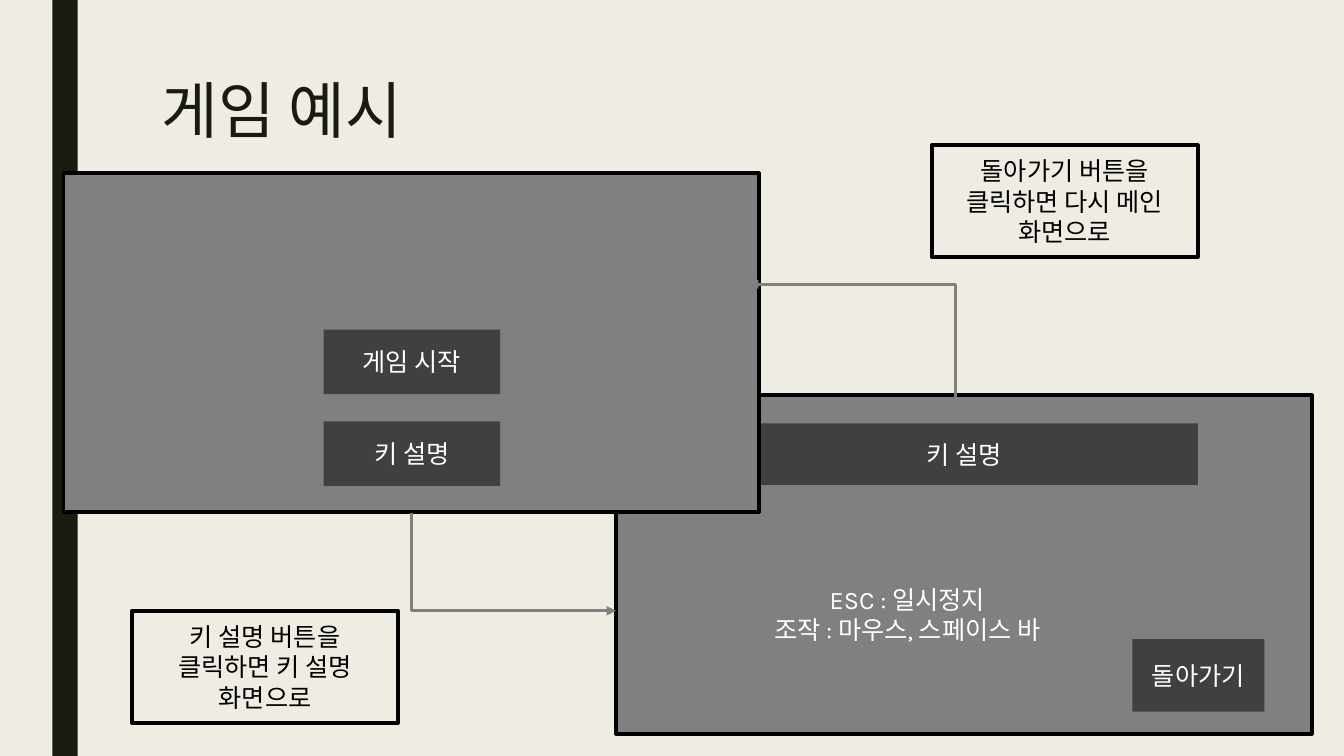
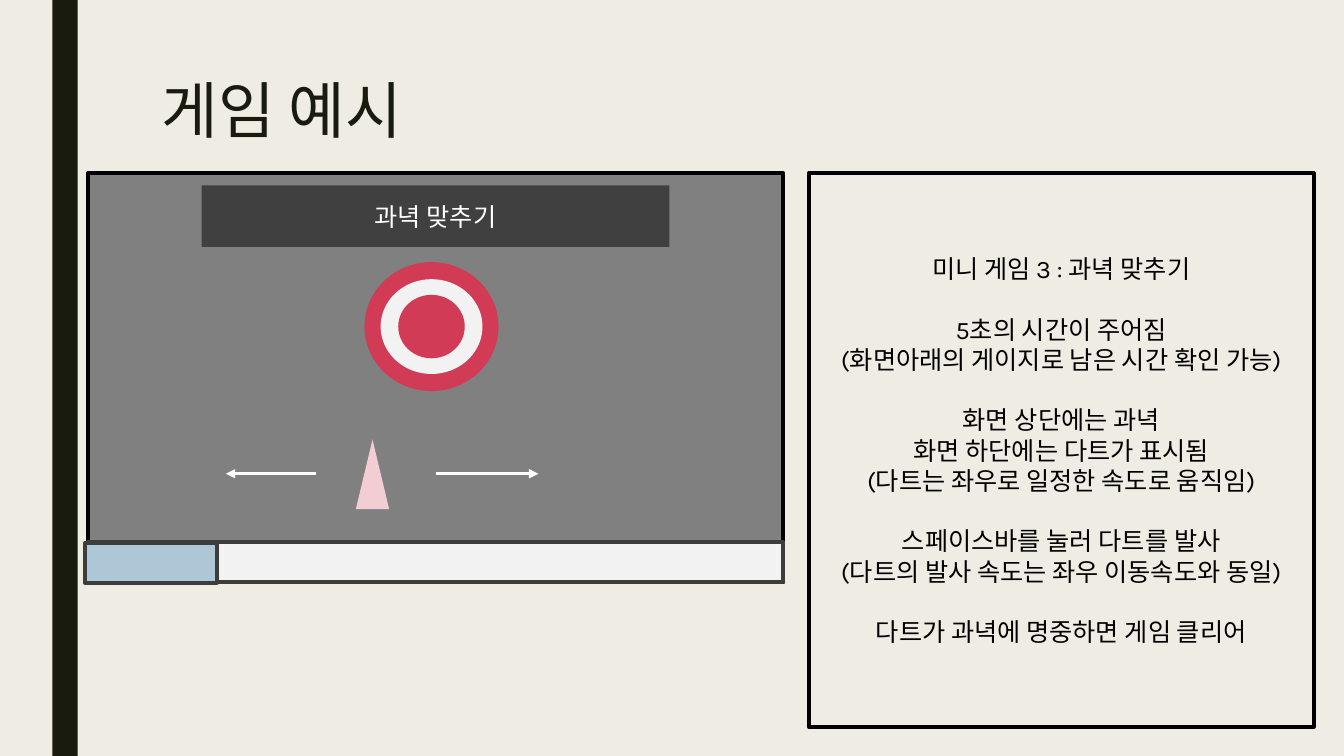
from dataclasses import dataclass
from itertools import product

from lxml import etree
from pptx import Presentation
from pptx.dml.color import RGBColor
from pptx.enum.shapes import MSO_CONNECTOR, MSO_SHAPE
from pptx.enum.text import MSO_ANCHOR, PP_ALIGN
from pptx.oxml.ns import qn
from pptx.util import Inches, Pt

RECT, RING, DART = MSO_SHAPE.RECTANGLE, MSO_SHAPE.FLOWCHART_CONNECTOR, MSO_SHAPE.ISOSCELES_TRIANGLE
STRAIGHT, ELBOW = MSO_CONNECTOR.STRAIGHT, MSO_CONNECTOR.ELBOW
TOP, MIDDLE = MSO_ANCHOR.TOP, MSO_ANCHOR.MIDDLE
LEFT, CENTER = PP_ALIGN.LEFT, PP_ALIGN.CENTER

CREAM, INK = "EFEDE3", "191B0E"
BLACK, WHITE, PALE = "000000", "FFFFFF", "F2F2F2"
GREY, DARK, GAUGE_EDGE = "808080", "404040", "3D3E3B"
RED, PINK, BLUE = "D13B56", "F3CDD4", "ADC7D6"
FONT = "Karla"
TITLE = "게임 예시"
BORDER, ARROW_WIDTH = 2.75, 2.25
GROUP_GAP = Pt(21.6)
TITLE_BOX = {"left": Inches(1.5), "top": Inches(0.75), "width": Inches(10.5), "height": Inches(1.62)}
TITLE_FRAME = {"vertical_anchor": TOP, "word_wrap": True}
TITLE_PARAGRAPH = {"alignment": LEFT, "line_spacing": 0.89}
BODY_FRAME = {"vertical_anchor": MIDDLE, "word_wrap": True}
RULES = """미니 게임 3 : 과녁 맞추기

5초의 시간이 주어짐
(화면아래의 게이지로 남은 시간 확인 가능)

화면 상단에는 과녁
화면 하단에는 다트가 표시됨
(다트는 좌우로 일정한 속도로 움직임)

스페이스바를 눌러 다트를 발사
(다트의 발사 속도는 좌우 이동속도와 동일)

다트가 과녁에 명중하면 게임 클리어"""


@dataclass(frozen=True)
class Block:
    """A shape with its place in inches, its colours and its text."""
    left: float
    top: float
    width: float
    height: float
    fill: str | None = None
    line: str | None = None
    text: str = ""
    ink: str = WHITE
    kind: int = RECT


@dataclass(frozen=True)
class Arrow:
    """A connector with its ends in inches."""
    start: tuple[float, float]
    end: tuple[float, float]
    colour: str
    kind: int = STRAIGHT
    turned: bool = False


def apply(target, values: dict) -> None:
    """Set every format value on the target."""
    for name, value in values.items():
        setattr(target, name, value)


def paint(fill, colour: str | None) -> None:
    """Fill with a hex colour, or with nothing."""
    if colour is None:
        fill.background()
    else:
        fill.solid()
        fill.fore_color.rgb = RGBColor.from_string(colour)


def style_font(font, size: int, colour: str) -> None:
    """Give a font the deck's face, a size and a colour."""
    apply(font, {"name": FONT, "size": Pt(size)})
    paint(font.fill, colour)


def write(frame, text: str, ink: str) -> None:
    """Write centred lines, with a gap between groups of lines."""
    apply(frame, BODY_FRAME)
    paragraph = None
    for group_number, group in enumerate(text.split("\n\n")):
        for line_number, line in enumerate(group.split("\n")):
            paragraph = frame.add_paragraph() if paragraph else frame.paragraphs[0]
            paragraph.alignment = CENTER
            if group_number and not line_number:
                paragraph.space_before = GROUP_GAP
            run = paragraph.add_run()
            run.text = line
            style_font(run.font, 18, ink)


def draw_block(slide, block: Block) -> None:
    """Draw one block, as a plain text box if it has no fill or line."""
    place = [Inches(v) for v in (block.left, block.top, block.width, block.height)]
    if block.fill or block.line:
        shape = slide.shapes.add_shape(block.kind, *place)
        shape.shadow.inherit = False
        paint(shape.fill, block.fill)
        paint(shape.line.fill, block.line)
        if block.line:
            shape.line.width = Pt(BORDER)
    else:
        shape = slide.shapes.add_textbox(*place)
    if block.text:
        write(shape.text_frame, block.text, block.ink)


def draw_arrow(slide, arrow: Arrow) -> None:
    """Draw a connector with a triangle at its end."""
    (x1, y1), (x2, y2) = arrow.start, arrow.end
    if arrow.turned:
        mid_x, mid_y = (x1 + x2) / 2, (y1 + y2) / 2
        half_w, half_h = (y2 - y1) / 2, (x2 - x1) / 2
        x1, y1, x2, y2 = mid_x + half_w, mid_y - half_h, mid_x - half_w, mid_y + half_h
    connector = slide.shapes.add_connector(arrow.kind, *map(Inches, (x1, y1, x2, y2)))
    paint(connector.line.fill, arrow.colour)
    connector.line.width = Pt(ARROW_WIDTH)
    properties = connector.element.spPr
    if arrow.turned:
        properties.find(qn("a:xfrm")).set("rot", str(270 * 60000))
        properties.find(qn("a:prstGeom")).set("prst", "bentConnector2")
    etree.SubElement(properties.find(qn("a:ln")), qn("a:tailEnd"), type="triangle")
    etree.SubElement(properties, qn("a:effectLst"))


def add_example_slide(prs, blocks: list[Block], arrows: list[Arrow]) -> None:
    """Add a slide with the shared band and title, then its content."""
    slide = prs.slides.add_slide(prs.slide_layouts[5])
    draw_block(slide, Block(0.52, 0, 0.25, 7.5, INK))
    title = slide.shapes.title
    apply(title, TITLE_BOX)
    title.text_frame.text = TITLE
    apply(title.text_frame, TITLE_FRAME)
    heading = title.text_frame.paragraphs[0]
    apply(heading, TITLE_PARAGRAPH)
    style_font(heading.runs[0].font, 44, INK)
    for block in blocks:
        draw_block(slide, block)
    for arrow in arrows:
        draw_arrow(slide, arrow)


def screen(left: float, top: float, height: float = 3.36) -> Block:
    """Return a mock game screen."""
    return Block(left, top, 6.9, height, GREY, BLACK)


def banner(left: float, top: float, text: str) -> Block:
    """Return the heading bar of a game screen."""
    return Block(left, top, 4.64, 0.61, DARK, text=text)


def callout(left: float, top: float, text: str, width: float = 2.64, height: float = 1.11) -> Block:
    """Return an outlined explanation."""
    return Block(left, top, width, height, None, BLACK, text, BLACK)


def main() -> None:
    """Build and save the deck."""
    prs = Presentation()
    apply(prs, {"slide_width": Inches(13.33), "slide_height": Inches(7.5)})
    paint(prs.slide_master.background.fill, CREAM)

    menu_buttons = [Block(3.21, 3.27 + 0.91 * row, 1.75, 0.64, DARK, text=label)
                    for row, label in enumerate(("게임 시작", "키 설명"))]
    add_example_slide(prs, [
        screen(6.11, 3.92),
        banner(7.24, 4.2, "키 설명"),
        screen(0.63, 1.72),
        *menu_buttons,
        Block(11.23, 6.34, 1.31, 0.72, DARK, text="돌아가기"),
        Block(6.91, 5.13, 4.18, 1.93, text="ESC : 일시정지\n조작 : 마우스, 스페이스 바"),
        callout(9.24, 1.44, "돌아가기 버튼을 클릭하면 다시 메인 화면으로"),
        callout(1.31, 6.06, "키 설명 버튼을 클릭하면 키 설명 화면으로"),
    ], [
        Arrow((4.08, 5.09), (6.11, 6.06), GREY, ELBOW, turned=True),
        Arrow((11.53, 3.98), (7.43, 2.82), GREY, ELBOW),
    ])

    rings = [Block(4.28 - width / 2, 3.24 - height / 2, width, height, colour, kind=RING)
             for width, height, colour in ((1.33, 1.28, RED), (1.01, 0.94, PALE), (0.66, 0.63, RED))]
    add_example_slide(prs, [
        screen(0.87, 1.72, 4.06),
        callout(8.02, 1.72, RULES, 5.01, 5.49),
        banner(2, 1.84, "과녁 맞추기"),
        Block(0.87, 5.38, 6.9, 0.39, PALE, GAUGE_EDGE),
        Block(0.84, 5.39, 1.31, 0.39, BLUE, GAUGE_EDGE),
        *rings,
        Block(3.53, 4.36, 0.33, 0.69, PINK, kind=DART),
    ], [Arrow((start, 4.7), (end, 4.7), WHITE) for start, end in ((4.32, 5.34), (3.13, 2.24))])
    prs.save("out.pptx")


if __name__ == "__main__":
    main()
